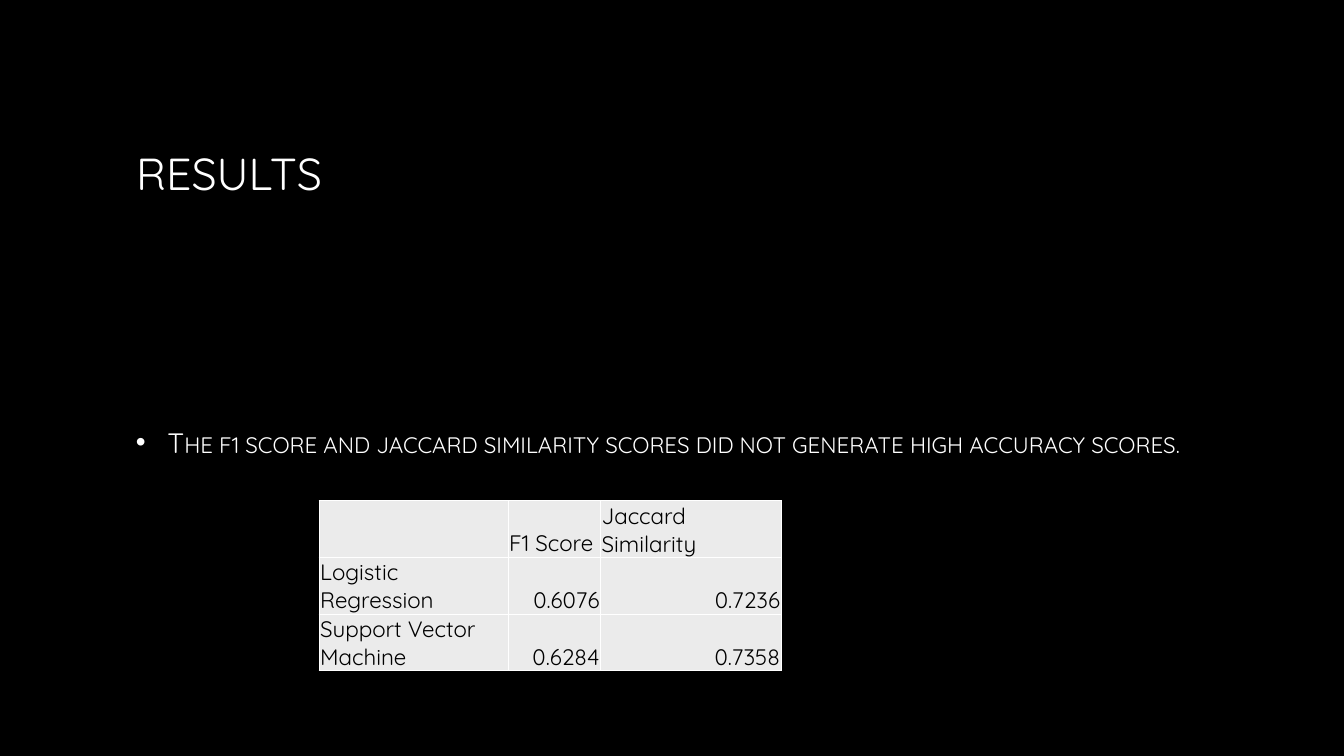
"""Build the results slide with its title, finding and score table."""
import dataclasses
import typing

import lxml.etree
import pptx
import pptx.dml.color
import pptx.enum.text
import pptx.oxml.ns
import pptx.util

PX = 9525
FONT = "Quicksand"
COLORS = {"background": "000000", "light": "FFFFFF", "cell": "EBEBEB", "dark": "000000"}
ALIGN = pptx.enum.text.PP_ALIGN
ANCHOR = pptx.enum.text.MSO_ANCHOR


@dataclasses.dataclass(frozen=True)
class Box:
    """Hold a position and size in px."""

    left: int
    top: int
    width: int
    height: int

    def emu(self) -> tuple[int, int, int, int]:
        """Return the four lengths in EMU."""
        return self.left * PX, self.top * PX, self.width * PX, self.height * PX


@dataclasses.dataclass(frozen=True)
class ScoreRow:
    """Hold one row of the score table."""

    label: str
    f1: str
    jaccard: str


TITLE_BOX = Box(120, 64, 1040, 200)
FINDING_BOX = Box(120, 280, 1040, 328)
FINDING_BOTTOM_INSET = 51
BULLET_INDENT = 30
COLUMN_WIDTHS = (180, 88, 172)
ROW_HEIGHT = 54
SCORES = (
    ScoreRow("", "F1 Score", "Jaccard Similarity"),
    ScoreRow("Logistic Regression", "0.6076", "0.7236"),
    ScoreRow("Support Vector Machine", "0.6284", "0.7358"),
)
TABLE_BOX = Box(304, 477, sum(COLUMN_WIDTHS), ROW_HEIGHT * len(SCORES))


def rgb(name: str) -> pptx.dml.color.RGBColor:
    """Look up a named colour."""
    return pptx.dml.color.RGBColor.from_string(COLORS[name])


def format_paragraph(paragraph: typing.Any, size: int, color: str, alignment: typing.Any) -> None:
    """Set the font and alignment of a paragraph."""
    paragraph.alignment = alignment
    paragraph.font.name = FONT
    paragraph.font.size = pptx.util.Pt(size)
    paragraph.font.color.rgb = rgb(color)


def add_element(parent: typing.Any, tag: str, **attributes: str) -> typing.Any:
    """Append a drawing element to its parent."""
    return lxml.etree.SubElement(parent, pptx.oxml.ns.qn(tag), attributes)


def add_title(slide: typing.Any) -> None:
    """Move and format the title placeholder."""
    title = slide.shapes.title
    title.left, title.top, title.width, title.height = TITLE_BOX.emu()
    title.text_frame.text = "RESULTS"
    title.text_frame.vertical_anchor = ANCHOR.MIDDLE
    format_paragraph(title.text_frame.paragraphs[0], 32, "light", ALIGN.LEFT)


def add_finding(slide: typing.Any) -> None:
    """Add the bulleted finding in small capitals."""
    frame = slide.shapes.add_textbox(*FINDING_BOX.emu()).text_frame
    frame.word_wrap = True
    frame.vertical_anchor = ANCHOR.MIDDLE
    frame.margin_bottom = FINDING_BOTTOM_INSET * PX
    paragraph = frame.paragraphs[0]
    run = paragraph.add_run()
    run.text = "The f1 score and jaccard similarity scores did not generate high accuracy scores."
    run.font._element.set("cap", "small")
    paragraph.space_before = pptx.util.Pt(4)
    paragraph.space_after = pptx.util.Pt(6)
    properties = paragraph._p.get_or_add_pPr()
    properties.set("marL", str(BULLET_INDENT * PX))
    properties.set("indent", str(-BULLET_INDENT * PX))
    add_element(add_element(properties, "a:buClr"), "a:srgbClr", val=COLORS["light"])
    add_element(properties, "a:buFont", typeface="Arial")
    add_element(properties, "a:buChar", char="•")
    format_paragraph(paragraph, 20, "light", ALIGN.LEFT)


def format_cell(cell: typing.Any, text: str, alignment: typing.Any) -> None:
    """Fill a table cell and give it text, insets and borders."""
    cell.text = text
    cell.vertical_anchor = ANCHOR.BOTTOM
    cell.margin_left = cell.margin_right = cell.margin_top = PX
    cell.margin_bottom = 0
    format_paragraph(cell.text_frame.paragraphs[0], 16, "dark", alignment)
    properties = cell._tc.get_or_add_tcPr()
    for side in ("a:lnL", "a:lnR", "a:lnT", "a:lnB"):
        border = add_element(properties, side, w=str(pptx.util.Pt(1)))
        add_element(add_element(border, "a:solidFill"), "a:srgbClr", val=COLORS["light"])
    cell.fill.solid()
    cell.fill.fore_color.rgb = rgb("cell")


def add_scores(slide: typing.Any) -> None:
    """Add the table of scores."""
    table = slide.shapes.add_table(len(SCORES), len(COLUMN_WIDTHS), *TABLE_BOX.emu()).table
    table.first_row = table.horz_banding = False
    for column, width in zip(table.columns, COLUMN_WIDTHS):
        column.width = width * PX
    for row_index, score in enumerate(SCORES):
        table.rows[row_index].height = ROW_HEIGHT * PX
        for column_index, text in enumerate(dataclasses.astuple(score)):
            alignment = ALIGN.RIGHT if row_index and column_index else ALIGN.LEFT
            format_cell(table.cell(row_index, column_index), text, alignment)


def main() -> None:
    """Build and save the presentation."""
    presentation = pptx.Presentation()
    presentation.slide_width = 1280 * PX
    presentation.slide_height = 720 * PX
    slide = presentation.slides.add_slide(presentation.slide_layouts[5])
    slide.background.fill.solid()
    slide.background.fill.fore_color.rgb = rgb("background")
    add_title(slide)
    add_finding(slide)
    add_scores(slide)
    presentation.save("out.pptx")


if __name__ == "__main__":
    main()
